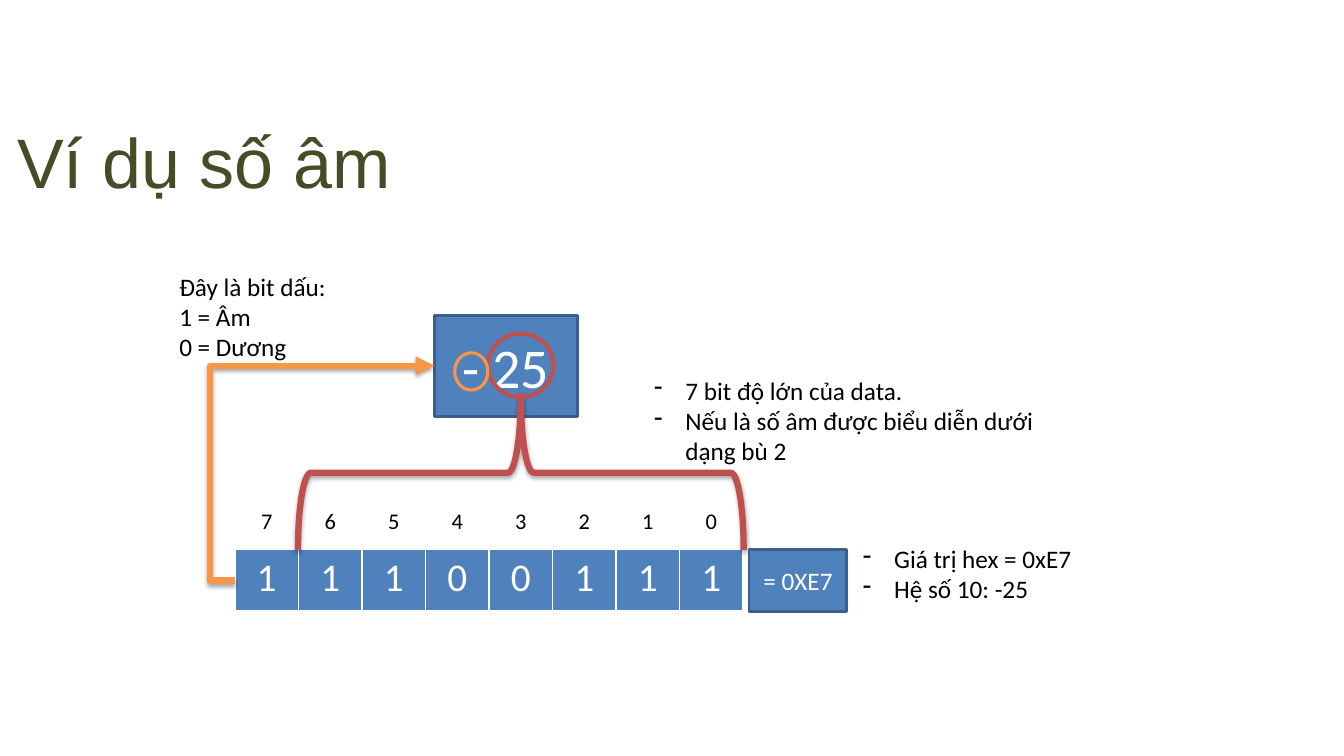
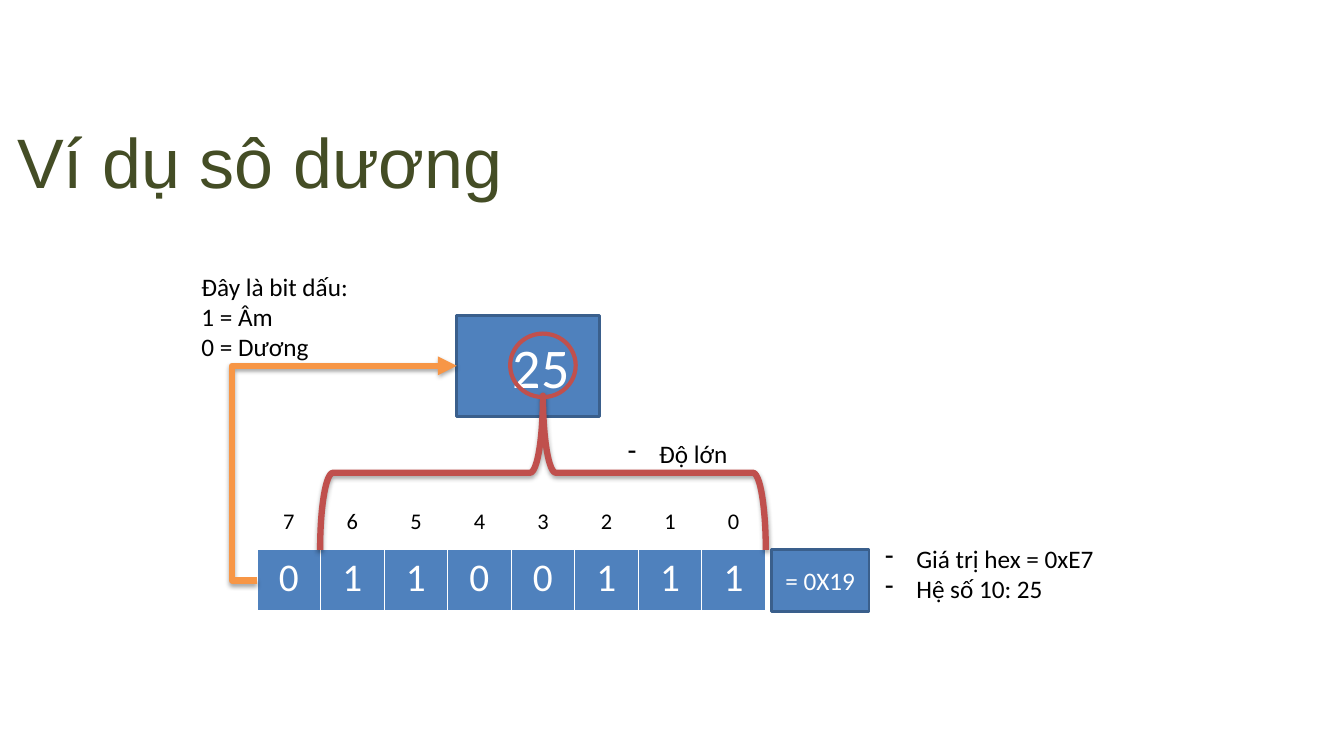
import pptx
import pptx.dml.color
import pptx.enum.shapes
import pptx.enum.text
import pptx.oxml
import pptx.oxml.ns
import pptx.util

SHAPE = pptx.enum.shapes.MSO_SHAPE
ALIGN = pptx.enum.text.PP_ALIGN
ANCHOR = pptx.enum.text.MSO_ANCHOR
PX = 9144  # 100 px to the inch

BLACK, WHITE = "000000", "FFFFFF"
OLIVE, BLUE, NAVY = "444D25", "4F81BD", "3A5F8C"
RED, ORANGE = "C0504D", "F79646"
TITLE_FONT, BODY_FONT = "Arial", "Calibri"

SIGN_NOTE = ["Đây là bit dấu:", "1 = Âm", "0 = Dương"]


def px(*lengths):
    return [pptx.util.Emu(length * PX) for length in lengths]


def color(code):
    return pptx.dml.color.RGBColor.from_string(code)


def add_xml(parent, tag, attributes="", inner=""):
    namespace = pptx.oxml.ns.nsdecls("a")
    parent.append(pptx.oxml.parse_xml(
        f"<a:{tag} {namespace} {attributes}>{inner}</a:{tag}>"))


def add_shadow(shape):
    add_xml(shape._element.spPr, "effectLst", inner=(
        '<a:outerShdw blurRad="40000" dist="23000" dir="5400000" rotWithShape="0">'
        '<a:srgbClr val="000000"><a:alpha val="35000"/></a:srgbClr></a:outerShdw>'))


def style_line(shape, code, width):
    shape.line.color.rgb = color(code)
    shape.line.width = pptx.util.Pt(width)


def style_paragraph(paragraph, size, code, align=ALIGN.LEFT, font=BODY_FONT):
    paragraph.alignment = align
    paragraph.font.name = font
    paragraph.font.size = pptx.util.Pt(size)
    paragraph.font.color.rgb = color(code)


def set_title(page, text):
    title = page.shapes.title
    title.left, title.top, title.width, title.height = px(17, 115, 1316, 86)
    frame = title.text_frame
    frame.text = text
    frame.auto_size = pptx.enum.text.MSO_AUTO_SIZE.NONE
    frame.vertical_anchor = ANCHOR.BOTTOM
    frame.margin_left = frame.margin_right = frame.margin_bottom = 0
    frame.margin_top, = px(1)
    style_paragraph(frame.paragraphs[0], 50, OLIVE, font=TITLE_FONT)


def add_outline(page, kind, box, code, width):
    shape = page.shapes.add_shape(kind, *px(*box))
    shape.shadow.inherit = False
    shape.fill.background()
    style_line(shape, code, width)
    return shape


def add_block(page, box, text, size, left_margin=10):
    block = page.shapes.add_shape(SHAPE.RECTANGLE, *px(*box))
    block.shadow.inherit = False
    block.fill.solid()
    block.fill.fore_color.rgb = color(BLUE)
    style_line(block, NAVY, 2)
    frame = block.text_frame
    frame.text = text
    frame.margin_left, = px(left_margin)
    frame.vertical_anchor = ANCHOR.MIDDLE
    style_paragraph(frame.paragraphs[0], size, WHITE, ALIGN.CENTER)


def add_note(page, box, lines, dashed=False):
    frame = page.shapes.add_textbox(*px(*box)).text_frame
    frame.word_wrap = True
    frame.text = "\n".join(lines)
    for paragraph in frame.paragraphs:
        style_paragraph(paragraph, 18, BLACK)
        if dashed:
            properties = paragraph._p.get_or_add_pPr()
            properties.set("marL", str(31 * PX))
            properties.set("indent", str(-31 * PX))
            # Bullet elements must come before the default run properties
            defaults = properties.find(pptx.oxml.ns.qn("a:defRPr"))
            add_xml(properties, "buFontTx")
            add_xml(properties, "buChar", 'char="-"')
            if defaults is not None:
                properties.append(defaults)


def add_digit_row(page, box, digits, size, text_color, fill):
    left, top, width, height = box
    table = page.shapes.add_table(
        1, len(digits), *px(left, top, width, height)).table
    table.first_row = table.horz_banding = False
    table.rows[0].height, = px(height)
    for column, cell, digit in zip(table.columns, table.rows[0].cells, digits):
        column.width, = px(width // len(digits))
        cell.text = digit
        style_paragraph(cell.text_frame.paragraphs[0], size, text_color, ALIGN.CENTER)
        properties = cell._tc.get_or_add_tcPr()
        for side, points in zip("LRTB", (1, 1, 1, 3)):
            add_xml(properties, f"ln{side}", f'w="{points * 12700}"',
                    f'<a:solidFill><a:srgbClr val="{WHITE}"/></a:solidFill>')
        cell.fill.solid()
        cell.fill.fore_color.rgb = color(fill)


def add_sign_arrow(page, start, end):
    """Lead left out of the sign bit, up, and right into the value."""
    arrow = page.shapes.add_connector(
        pptx.enum.shapes.MSO_CONNECTOR.ELBOW, *px(*start, *end))
    style_line(arrow, ORANGE, 4.5)
    add_xml(arrow.line._get_or_add_ln(), "tailEnd", 'type="triangle"')
    add_shadow(arrow)
    geometry = arrow._element.spPr.find(pptx.oxml.ns.qn("a:prstGeom"))
    for child in list(geometry):
        geometry.remove(child)
    add_xml(geometry, "avLst", inner='<a:gd name="adj1" fmla="val -12600"/>')


def add_magnitude_brace(page, box):
    """Fill the box with a brace that points up."""
    left, top, width, height = box
    turned = (left + (width - height) // 2, top - (width - height) // 2, height, width)
    brace = add_outline(page, SHAPE.LEFT_BRACE, turned, RED, 4.5)
    brace.rotation = 90
    effects = brace._element.spPr.find(pptx.oxml.ns.qn("a:effectLst"))
    brace._element.spPr.remove(effects)
    add_shadow(brace)


def add_bit_diagram(page, left, top, number, bits, hex_text, decimal_text,
                    magnitude_lines, magnitude_at):
    def at(x, y, *size):
        return (left + x, top + y, *size)

    negative = number.startswith("-")
    add_digit_row(page, at(65, 235, 504, 37), "76543210", 16, BLACK, WHITE)
    add_block(page, at(263, 49, 142, 100), number, 40, 10 if negative else 35)
    add_digit_row(page, at(65, 281, 504, 62), bits, 28, WHITE, BLUE)
    add_magnitude_brace(page, at(128, 128, 442, 153))
    add_outline(page, SHAPE.OVAL, at(316, 67, 65, 63), RED, 3)
    if negative:
        add_outline(page, SHAPE.OVAL, at(283, 86, 33, 37), ORANGE, 2.25)
    add_sign_arrow(page, at(65, 312), at(263, 99))
    add_note(page, at(0, 0, 230, 101), SIGN_NOTE)
    add_note(page, at(*magnitude_at, 402, 131), magnitude_lines, dashed=True)
    add_block(page, at(575, 281, 97, 62), hex_text, 18)
    add_note(page, at(678, 270, 402, 101),
             ["Giá trị hex = 0xE7", decimal_text], dashed=True)


def main():
    deck = pptx.Presentation()
    deck.slide_width, deck.slide_height = px(1333, 750)
    title_only = deck.slide_layouts[5]

    page = deck.slides.add_slide(title_only)
    set_title(page, "Ví dụ số âm")
    add_bit_diagram(
        page, 168, 264, "- 25", "11100111", "= 0XE7", "Hệ số 10: -25",
        ["7 bit độ lớn của data.", "Nếu là số âm được biểu diễn dưới dạng bù 2"],
        (471, 103))

    page = deck.slides.add_slide(title_only)
    set_title(page, "Ví dụ sô dương")
    add_bit_diagram(
        page, 190, 264, "25", "01100111", "= 0X19", "Hệ số 10: 25",
        ["Độ lớn"], (423, 166))

    deck.save("out.pptx")


if __name__ == "__main__":
    main()
